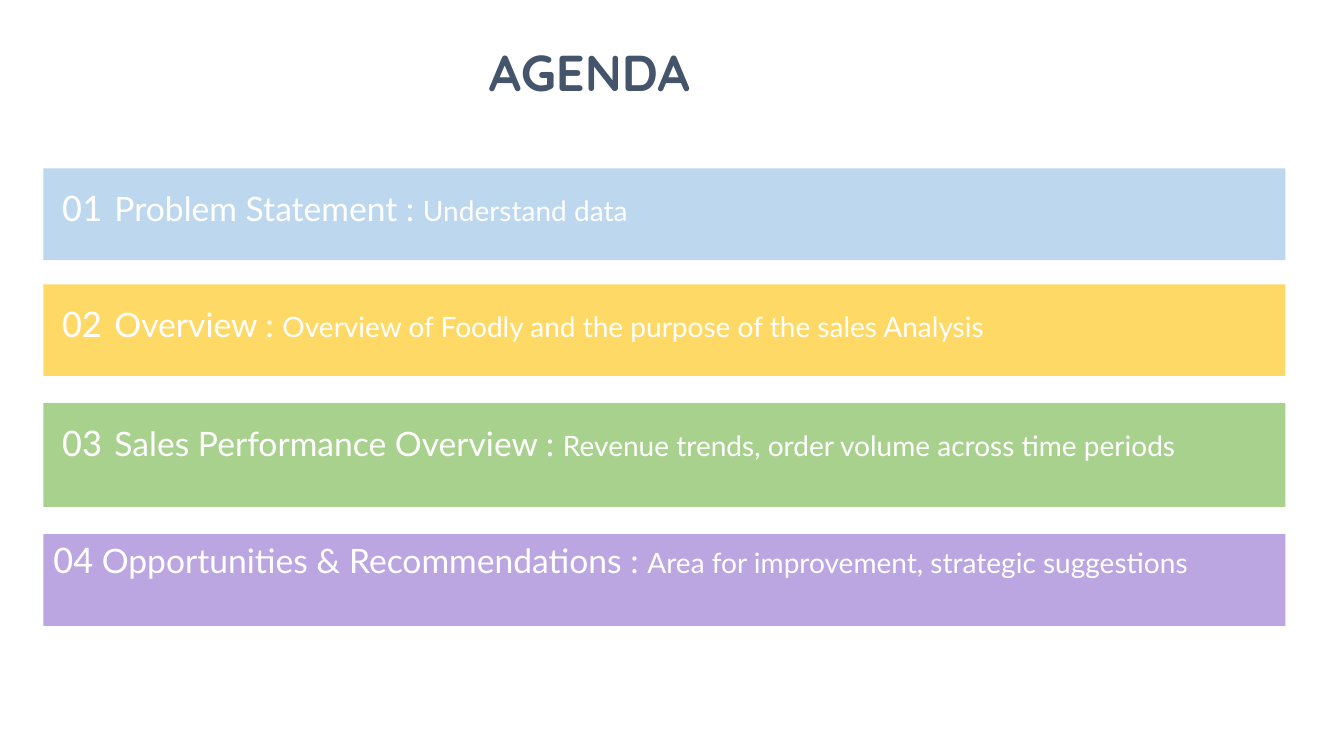
from dataclasses import dataclass

from pptx import Presentation
from pptx.dml.color import RGBColor
from pptx.enum import shapes, text
from pptx.util import Inches, Pt

TITLE = "AGENDA"

# number, heading, detail, fill, top, height, spaced number
AGENDA = [
    ("01", "Problem Statement : ", "Understand data", "BDD7EE", 1.67, 0.91, True),
    ("02", "Overview : ", "Overview of Foodly and the purpose of the sales Analysis",
     "FFD966", 2.82, 0.91, True),
    ("03", "Sales Performance Overview : ",
     "Revenue trends, order volume across time periods", "A9D18E", 4.0, 1.03, True),
    ("04 ", "Opportunities & Recommendations : ",
     "Area for improvement, strategic suggestions", "BBA6E2", 5.3, 0.91, False),
]
BAR_LEFT, BAR_WIDTH = 0.43, 12.32


@dataclass(frozen=True)
class Theme:
    title_font: str = "Quicksand"
    number_font: str = "Calibri"
    body_font: str = "Lato"
    title_color: str = "44546A"
    text_color: str = "FFFFFF"
    title_size: int = 36
    number_size: int = 28
    gap_size: int = 40
    heading_size: int = 24
    detail_size: int = 20


THEME = Theme()


def add_run(paragraph, words, font, size, color=THEME.text_color, bold=False):
    run = paragraph.add_run()
    run.text = words
    run.font.name = font
    run.font.size = Pt(size)
    run.font.bold = bold
    run.font.color.rgb = RGBColor.from_string(color)


def add_title(slide):
    box = slide.shapes.add_textbox(Inches(4.14), Inches(0.23), Inches(3.41), Inches(1.03))
    frame = box.text_frame
    frame.word_wrap = True
    frame.vertical_anchor = text.MSO_ANCHOR.MIDDLE
    paragraph = frame.paragraphs[0]
    paragraph.alignment = text.PP_ALIGN.CENTER
    paragraph.line_spacing = 0.9
    add_run(paragraph, TITLE, THEME.title_font, THEME.title_size, THEME.title_color, True)


def add_agenda_bar(slide, number, heading, detail, fill, top, height, spaced):
    bar = slide.shapes.add_shape(
        shapes.MSO_SHAPE.RECTANGLE,
        Inches(BAR_LEFT), Inches(top), Inches(BAR_WIDTH), Inches(height))
    bar.shadow.inherit = False
    bar.fill.solid()
    bar.fill.fore_color.rgb = RGBColor.from_string(fill)
    bar.line.fill.background()
    frame = bar.text_frame
    frame.word_wrap = True
    frame.vertical_anchor = text.MSO_ANCHOR.TOP
    paragraph = frame.paragraphs[0]
    paragraph.alignment = text.PP_ALIGN.LEFT
    paragraph.line_spacing = 0.9
    paragraph.space_before = Pt(10)
    if spaced:
        add_run(paragraph, " ", THEME.number_font, THEME.number_size)
    add_run(paragraph, number, THEME.number_font, THEME.number_size)
    if spaced:
        add_run(paragraph, " ", THEME.number_font, THEME.gap_size, bold=True)
    add_run(paragraph, heading, THEME.body_font, THEME.heading_size)
    add_run(paragraph, detail, THEME.body_font, THEME.detail_size)


def main():
    presentation = Presentation()
    presentation.slide_width = Inches(13.33)
    presentation.slide_height = Inches(7.5)
    slide = presentation.slides.add_slide(presentation.slide_layouts[6])
    add_title(slide)
    for item in AGENDA:
        add_agenda_bar(slide, *item)
    presentation.save("out.pptx")


if __name__ == "__main__":
    main()
